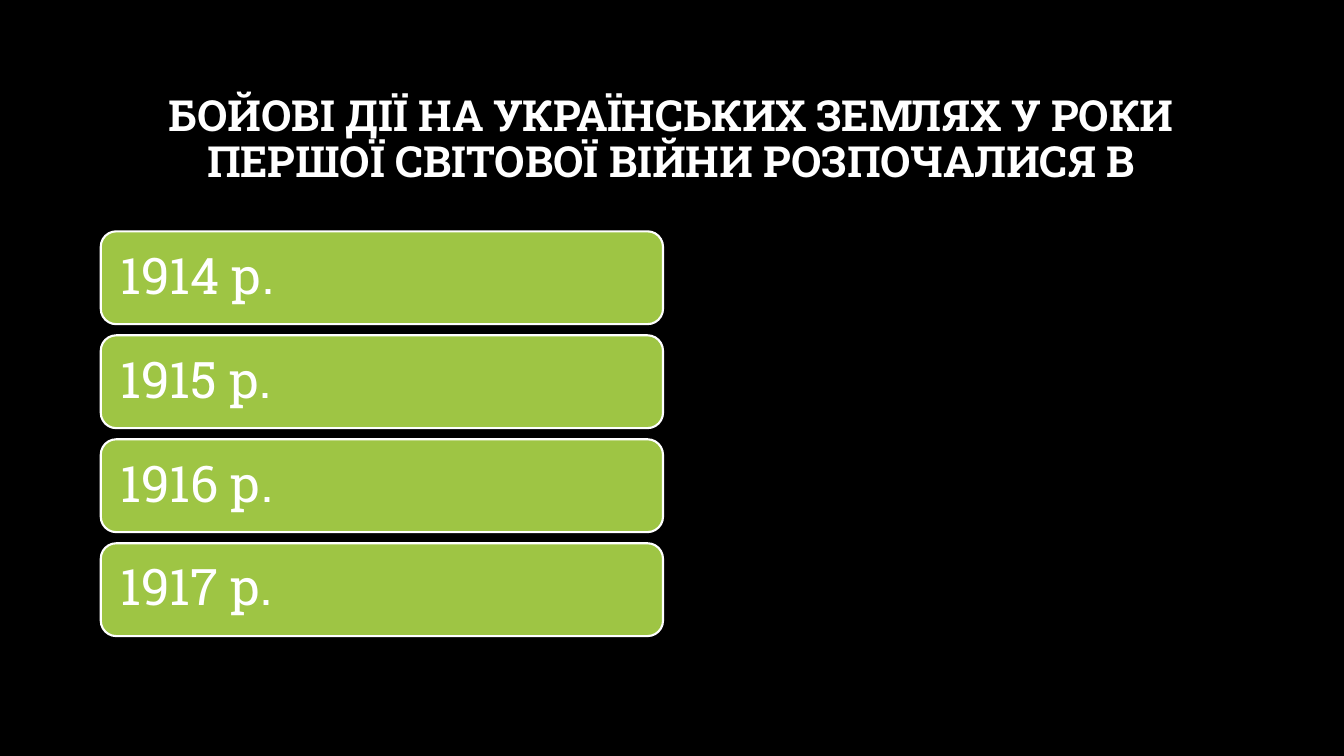
from pptx import Presentation
from pptx import util as u
from pptx.dml.color import RGBColor
from pptx.enum import shapes, text

COLOURS = {"background": "000000", "answer": "9EC544", "text": "FFFFFF"}
FONT = "Roboto Slab"
QUESTION = ("БОЙОВІ ДІЇ НА УКРАЇНСЬКИХ ЗЕМЛЯХ У РОКИ "
            "ПЕРШОЇ СВІТОВОЇ ВІЙНИ РОЗПОЧАЛИСЯ В")
YEARS = range(1914, 1918)

LEFT = 2.54
ANSWER_TOP, ANSWER_STEP = 5.83, 2.62
ANSWER_WIDTH, ANSWER_HEIGHT = 14.17, 2.34


def colour(name):
    return RGBColor.from_string(COLOURS[name])


def set_attributes(target, values):
    for name, value in values.items():
        setattr(target, name, value)


def write_text(box, words, size, bold, align, frame_format):
    frame = box.text_frame
    set_attributes(frame, {"word_wrap": True,
                           "vertical_anchor": text.MSO_ANCHOR.MIDDLE,
                           **frame_format})
    para = frame.paragraphs[0]
    set_attributes(para, {"alignment": align, "line_spacing": 0.9})
    span = para.add_run()
    span.text = words
    set_attributes(span.font, {"name": FONT, "size": u.Pt(size), "bold": bold})
    span.font.color.rgb = colour("text")


def add_question(page):
    box = page.shapes.add_textbox(u.Cm(LEFT), u.Cm(1.7), u.Cm(28.75), u.Cm(3.68))
    write_text(box, QUESTION, 30.6, True, text.PP_ALIGN.CENTER, {})


def add_answer(page, top, words):
    box = page.shapes.add_shape(
        shapes.MSO_SHAPE.ROUNDED_RECTANGLE,
        u.Cm(LEFT), u.Cm(top), u.Cm(ANSWER_WIDTH), u.Cm(ANSWER_HEIGHT))
    box.shadow.inherit = False
    box.fill.solid()
    box.fill.fore_color.rgb = colour("answer")
    box.line.color.rgb = colour("text")
    box.line.width = u.Pt(1.5)
    insets = {f"margin_{side}": u.Cm(0.38)
              for side in ("left", "top", "right", "bottom")}
    write_text(box, words, 36, False, text.PP_ALIGN.LEFT, insets)


def main():
    deck = Presentation()
    set_attributes(deck, {"slide_width": u.Cm(33.87), "slide_height": u.Cm(19.05)})
    page = deck.slides.add_slide(deck.slide_layouts[6])
    page.background.fill.solid()
    page.background.fill.fore_color.rgb = colour("background")

    # Question
    add_question(page)

    # Answer options
    for index, year in enumerate(YEARS):
        add_answer(page, ANSWER_TOP + index * ANSWER_STEP, f"{year} р.")

    deck.save("out.pptx")


if __name__ == "__main__":
    main()
